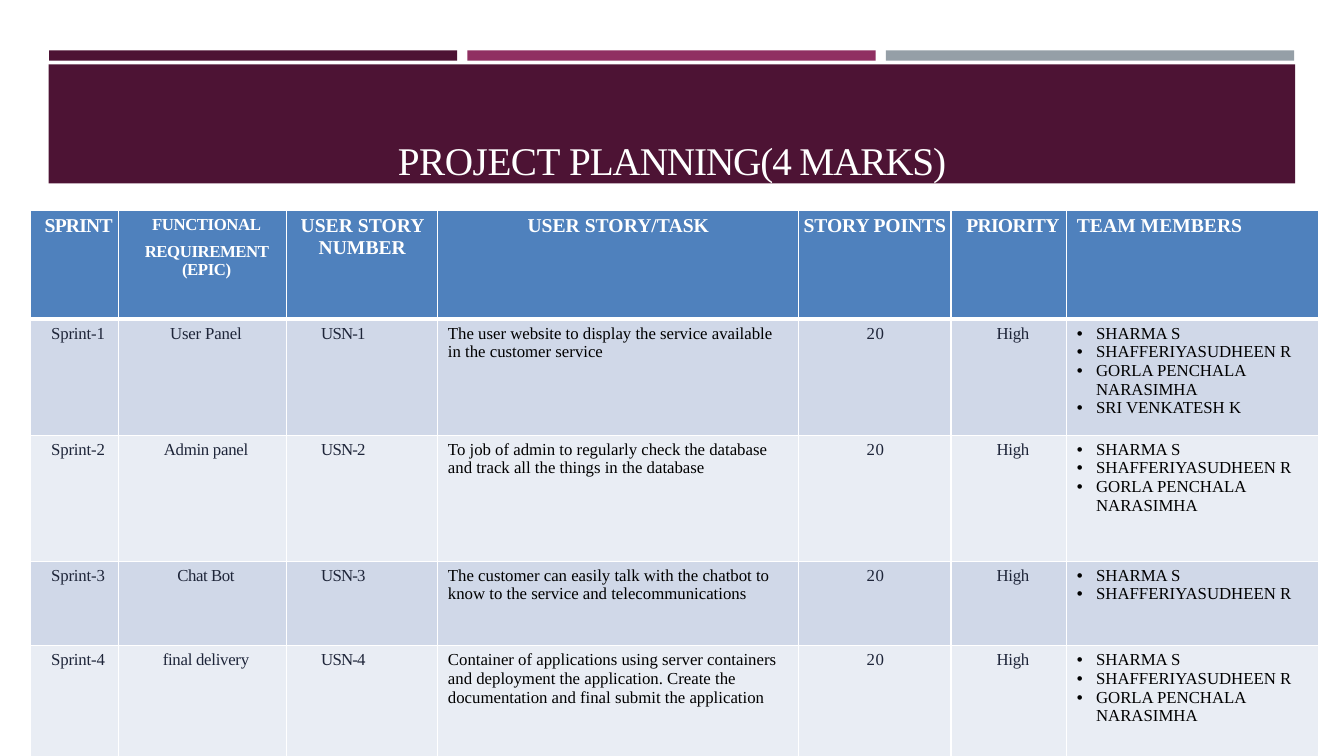
"""Build the project planning slide with its sprint table."""
from dataclasses import dataclass
from typing import NamedTuple

from lxml import etree
from pptx import Presentation
from pptx import util as u
from pptx.dml import color
from pptx.enum import shapes, text
from pptx.oxml import ns

FONT = "Times New Roman"
PLUM = color.RGBColor(0x4D, 0x13, 0x34)
MAGENTA = color.RGBColor(0x90, 0x30, 0x62)
SLATE = color.RGBColor(0x95, 0x9F, 0xA7)
BLUE = color.RGBColor(0x4F, 0x81, 0xBD)
BAND_DARK = color.RGBColor(0xD0, 0xD8, 0xE8)
BAND_LIGHT = color.RGBColor(0xE9, 0xED, 0xF4)
NAVY = color.RGBColor(0x1E, 0x25, 0x39)
WHITE = color.RGBColor(0xFF, 0xFF, 0xFF)
BLACK = color.RGBColor(0, 0, 0)

CENTER, LEFT = text.PP_ALIGN.CENTER, text.PP_ALIGN.LEFT
HEADER_HEIGHT = 78
BULLET_INDENT = 13.7


@dataclass(frozen=True)
class Style:
    """Text style of a cell."""
    size: float = 12
    ink: color.RGBColor = NAVY
    bold: bool = False
    spacing: float = 0
    align: text.PP_ALIGN = CENTER
    indent: float = 0
    right: float = 0
    before: float = 0
    bullet: bool = False
    tight: bool = False


@dataclass(frozen=True)
class Column:
    """Table column with its heading and the styles used in it."""
    width: float
    heading: tuple[str, ...]
    head: Style
    body: Style


class Sprint(NamedTuple):
    """One sprint of the plan."""
    height: float
    requirement: str
    spacing: float
    task: str
    member_count: int


def heading(**changes) -> Style:
    """Return the heading style with changes."""
    return Style(**{"size": 14, "ink": WHITE, "bold": True, **changes})


def entry(**changes) -> Style:
    """Return the style of a short centred entry with changes."""
    return Style(**{"before": 3.5, "tight": True, **changes})


COLUMNS = (
    Column(62.6, ("SPRINT",), heading(spacing=-0.6, indent=5.8, before=3.5, tight=True),
           entry(spacing=-0.1, indent=5)),
    Column(120.2, ("FUNCTIONAL", "REQUIREMENT (EPIC)"),
           heading(size=12, spacing=-0.3, indent=5.8, before=6), entry(indent=5)),
    Column(108, ("USER STORY NUMBER",), heading(), entry(spacing=-0.6, right=27)),
    Column(257.8, ("USER STORY/TASK",), heading(), Style(ink=BLACK, align=LEFT)),
    Column(108.7, ("STORY POINTS",), heading(spacing=-0.1, before=3.5, tight=True),
           entry(spacing=0.5, indent=0.7)),
    Column(82.8, ("PRIORITY",), heading(spacing=-0.5, indent=5.8, before=3.5, tight=True),
           entry(spacing=-0.2, indent=5.8)),
    Column(180, ("TEAM MEMBERS",), heading(align=LEFT),
           Style(ink=BLACK, align=LEFT, indent=BULLET_INDENT, bullet=True)),
)
MEMBERS = ("SHARMA S", "SHAFFERIYASUDHEEN R", "GORLA PENCHALA NARASIMHA", "SRI VENKATESH K")
SPRINTS = (
    Sprint(82.8, "User Panel", -0.1,
           "The user website to display the service available in the customer service", 4),
    Sprint(90, "Admin panel", -0.2,
           "To job of admin to regularly check the database and track all the things "
           "in the database", 3),
    Sprint(60.5, "Chat Bot", -0.3,
           "The customer can easily talk with the chatbot to know to the service and "
           "telecommunications", 2),
    Sprint(90, "final delivery", -0.2,
           "Container of applications using server containers and deployment the application. "
           "Create the documentation and final submit the application", 3),
)


def add_span(para, words: str, size: float, ink: color.RGBColor, spacing: float,
             bold: bool = False) -> None:
    """Add one formatted run to a paragraph."""
    span = para.add_run()
    span.text = words
    span.font.name, span.font.size, span.font.bold = FONT, u.Pt(size), bold
    span.font.color.rgb = ink
    span.font._element.set("spc", str(round(spacing * 100)))


def add_borders(cell, bottom: float) -> None:
    """Give a cell white borders, with its own weight at the bottom."""
    properties = cell._tc.get_or_add_tcPr()
    for position, side in enumerate(("lnL", "lnR", "lnT", "lnB")):
        line = etree.Element(ns.qn(f"a:{side}"))
        line.set("w", str(u.Pt(bottom if side == "lnB" else 1)))
        fill = etree.SubElement(line, ns.qn("a:solidFill"))
        etree.SubElement(fill, ns.qn("a:srgbClr")).set("val", str(WHITE))
        properties.insert(position, line)


def fill_cell(cell, lines: tuple[str, ...], style: Style, fill: color.RGBColor,
              bottom: float = 1, spacing: float | None = None) -> None:
    """Write the lines into a cell and paint it."""
    cell.fill.solid()
    cell.fill.fore_color.rgb = fill
    add_borders(cell, bottom)
    cell.margin_left = cell.margin_right = u.Pt(0 if style.tight else 7.2)
    cell.margin_top, cell.margin_bottom = u.Pt(3.6), u.Pt(0 if style.tight else 3.6)
    frame = cell.text_frame
    for index, words in enumerate(lines):
        para = frame.add_paragraph() if index else frame.paragraphs[0]
        para.alignment = style.align
        para.space_before = u.Pt(style.before)
        properties = para._p.get_or_add_pPr()
        properties.set("marL", str(u.Pt(style.indent)))
        properties.set("marR", str(u.Pt(style.right)))
        properties.set("indent", str(u.Pt(-style.indent if style.bullet else 0)))
        if style.bullet:
            etree.SubElement(properties, ns.qn("a:buFont")).set("typeface", "Arial")
            etree.SubElement(properties, ns.qn("a:buChar")).set("char", "•")
        add_span(para, words, style.size, style.ink,
                 style.spacing if spacing is None else spacing, style.bold)


def add_title(page) -> None:
    """Place and format the title band."""
    title = page.shapes.title
    title.left, title.top, title.width, title.height = map(u.Pt, (34.8, 46, 890.4, 85))
    title.fill.solid()
    title.fill.fore_color.rgb = PLUM
    frame = title.text_frame
    frame.margin_left = frame.margin_top = frame.margin_right = frame.margin_bottom = 0
    frame.auto_size = text.MSO_AUTO_SIZE.NONE
    frame.vertical_anchor = text.MSO_ANCHOR.BOTTOM
    para = frame.paragraphs[0]
    para.alignment = CENTER
    add_span(para, "PROJECT", 28, WHITE, -0.3)
    add_span(para, " PLANNING(4 MARKS)", 28, WHITE, -0.8)


def add_bars(page) -> None:
    """Draw the three accent bars above the title."""
    for index, shade in enumerate((PLUM, MAGENTA, SLATE)):
        bar = page.shapes.add_shape(shapes.MSO_SHAPE.RECTANGLE, u.Pt(35 + 298.9 * index),
                                    u.Pt(36), u.Pt(291.6), u.Pt(7.4))
        bar.shadow.inherit = False
        bar.fill.solid()
        bar.fill.fore_color.rgb = shade
        bar.line.fill.background()


def add_plan(page) -> None:
    """Draw the sprint table."""
    heights = [HEADER_HEIGHT, *(sprint.height for sprint in SPRINTS)]
    width = sum(column.width for column in COLUMNS)
    table = page.shapes.add_table(len(heights), len(COLUMNS), u.Pt(22), u.Pt(150),
                                  u.Pt(width), u.Pt(sum(heights))).table
    table.first_row = table.horz_banding = False
    for row, height in zip(table.rows, heights):
        row.height = u.Pt(height)
    for index, column in enumerate(COLUMNS):
        table.columns[index].width = u.Pt(column.width)
        fill_cell(table.cell(0, index), column.heading, column.head, BLUE, bottom=3)
    for number, sprint in enumerate(SPRINTS, 1):
        entries = ((f"Sprint-{number}",), (sprint.requirement,), (f"USN-{number}",),
                   (sprint.task,), ("20",), ("High",), MEMBERS[:sprint.member_count])
        band = BAND_DARK if number % 2 else BAND_LIGHT
        for index, (column, lines) in enumerate(zip(COLUMNS, entries)):
            fill_cell(table.cell(number, index), lines, column.body, band,
                      spacing=sprint.spacing if index == 1 else None)


def main() -> None:
    """Build and save the deck."""
    deck = Presentation()
    deck.slide_width, deck.slide_height = u.Pt(960), u.Pt(540)
    page = deck.slides.add_slide(deck.slide_layouts[5])
    add_bars(page)
    add_title(page)
    add_plan(page)
    deck.save("out.pptx")


main()
